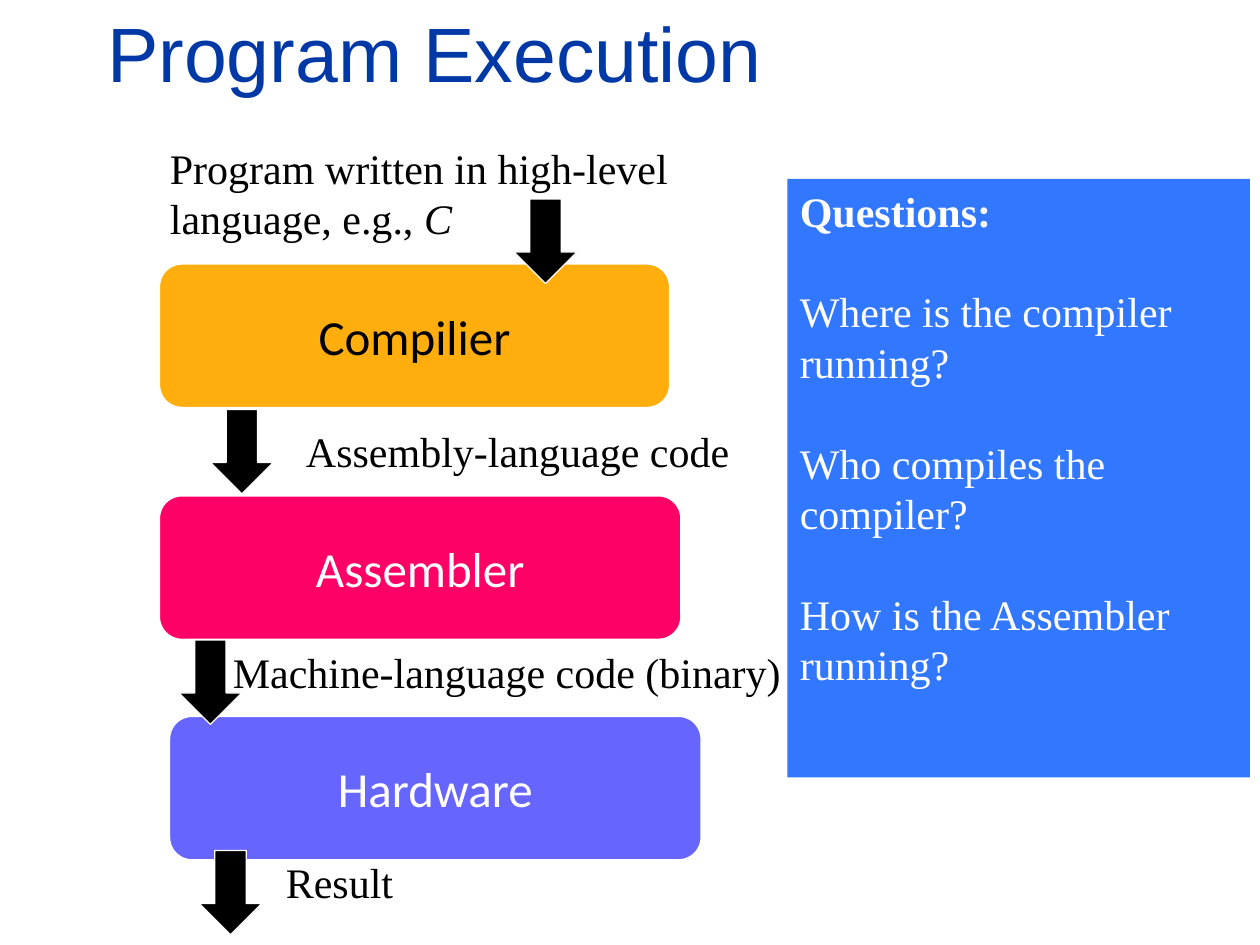
from pptx import Presentation
from pptx.dml.color import RGBColor
from pptx.enum.shapes import MSO_SHAPE
from pptx.enum.text import MSO_ANCHOR, MSO_AUTO_SIZE, PP_ALIGN
from pptx.util import Inches, Pt

COLORS = {
    "title": "0039A6", "compiler": "FFAE0D", "assembler": "FF0066",
    "hardware": "6666FF", "questions": "3177FF", "black": "000000", "white": "FFFFFF",
}
LINE_HEIGHT = Pt(28.8)


def add_filled(kind, box, fill, border=None):
    part = slide.shapes.add_shape(kind, *map(Inches, box))
    part.shadow.inherit = False
    part.fill.solid()
    part.fill.fore_color.rgb = RGBColor.from_string(COLORS[fill])
    if border:
        part.line.color.rgb = RGBColor.from_string(COLORS["white"])
        part.line.width = Pt(border)
    else:
        part.line.fill.background()
    return part


def write(paragraph, words, color, **formats):
    run = paragraph.add_run()
    run.text = words
    run.font.color.rgb = RGBColor.from_string(COLORS[color])
    for attribute, value in ({"name": "Times New Roman", "size": Pt(24)} | formats).items():
        setattr(run.font, attribute, value)


prs = Presentation()
prs.slide_width, prs.slide_height = Inches(10), Inches(7.5)
slide = prs.slides.add_slide(prs.slide_layouts[5])

title = slide.shapes.title
title.left, title.top, title.width, title.height = map(Inches, (0.75, 0, 9.03, 0.83))
title.text_frame.auto_size = MSO_AUTO_SIZE.NONE
title.text_frame.vertical_anchor = MSO_ANCHOR.BOTTOM
heading = title.text_frame.paragraphs[0]
heading.alignment = PP_ALIGN.LEFT
write(heading, "Program Execution", "title", name="Arial", size=Pt(44))

stages = [
    ("Compilier", 1.25, 2.08, 4.08, "compiler", "black"),
    ("Assembler", 1.25, 3.92, 4.17, "assembler", "white"),
    ("Hardware", 1.33, 5.67, 4.25, "hardware", "white"),
]
for name, left, top, width, fill, color in stages:
    stage = add_filled(MSO_SHAPE.ROUNDED_RECTANGLE, (left, top, width, 1.17), fill, 3)
    stage.text_frame.word_wrap = False
    stage.text_frame.vertical_anchor = MSO_ANCHOR.MIDDLE
    caption = stage.text_frame.paragraphs[0]
    caption.alignment = PP_ALIGN.CENTER
    write(caption, name, color, name="Calibri", size=Pt(28))

for left, top in [(4.08, 1.58), (1.67, 3.25), (1.42, 5.08), (1.58, 6.75)]:
    add_filled(MSO_SHAPE.DOWN_ARROW, (left, top, 0.5, 0.67), "black", 0.75)

flow_labels = [
    ("Program written in high-level language, e.g., ", "C", 1.25, 1.08, 4.25, 0.91),
    ("Assembly-language code", "", 2.33, 3.33, 4.25, 0.5),
    ("Machine-language code (binary)", "", 1.75, 5.08, 5.17, 0.5),
    ("Result", "", 2.17, 6.75, 4.25, 0.5),
]
for words, language, *box in flow_labels:
    label = slide.shapes.add_textbox(*map(Inches, box)).text_frame
    label.word_wrap = True
    label.paragraphs[0].line_spacing = LINE_HEIGHT
    write(label.paragraphs[0], words, "black")
    if language:
        write(label.paragraphs[0], language, "black", italic=True)

questions = add_filled(MSO_SHAPE.RECTANGLE, (6.25, 1.42, 3.67, 4.75), "questions").text_frame
questions.word_wrap = True
questions.vertical_anchor = MSO_ANCHOR.TOP
for index, words in enumerate([
    "Questions:",
    "Where is the compiler running?",
    "Who compiles the compiler?",
    "How is the Assembler running?",
]):
    question = questions.add_paragraph() if index else questions.paragraphs[0]
    question.alignment = PP_ALIGN.LEFT
    question.line_spacing = LINE_HEIGHT
    if index:
        question.space_before = LINE_HEIGHT
    write(question, words, "white", bold=index == 0)

prs.save("out.pptx")
